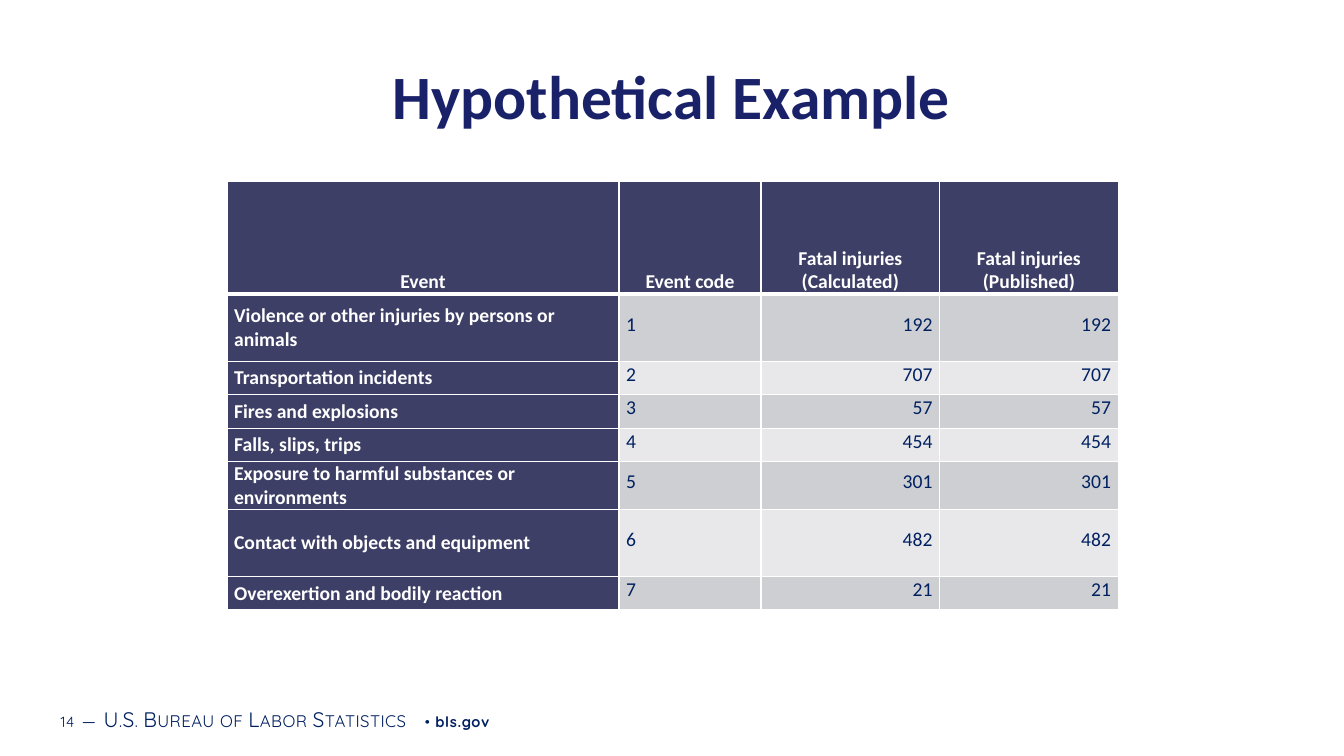
"""Build the slide comparing calculated and published fatal injuries by event."""
from dataclasses import dataclass

from lxml.etree import SubElement
from pptx import Presentation
from pptx.dml.color import RGBColor as Rgb
from pptx.enum.text import MSO_ANCHOR as Anchor, PP_ALIGN as Align
from pptx.oxml.ns import qn
from pptx.util import Cm, Pt

TITLE = "Hypothetical Example"
HEADINGS = ("Event", "Event code", "Fatal injuries\n(Calculated)", "Fatal injuries\n(Published)")
EVENTS = [
    ("Violence or other injuries by persons or animals", 1, 192, 192),
    ("Transportation incidents", 2, 707, 707),
    ("Fires and explosions", 3, 57, 57),
    ("Falls, slips, trips", 4, 454, 454),
    ("Exposure to harmful substances or environments", 5, 301, 301),
    ("Contact with objects and equipment", 6, 482, 482),
    ("Overexertion and bodily reaction", 7, 21, 21),
]
COLUMN_WIDTHS = (9.88, 3.58, 4.5, 4.5)
COLUMN_ALIGNS = (Align.LEFT, Align.LEFT, Align.RIGHT, Align.RIGHT)
HEADING_HEIGHT, TALL, SHORT = 2.84, 1.7, 0.84
TALL_EVENT_CODES = (1, 6)
FOOTER = [
    ("14", 10.5, 50, False, False),
    (" ", 16, 50, False, False),
    ("—", 15, 30, True, False),
    (" ", 16, 50, False, False),
    ("U.S. Bureau of Labor Statistics", 15, 30, True, False),
    (" • ", 10.5, 50, False, False),
    ("bls.gov", 10.5, 50, False, True),
]


@dataclass(frozen=True)
class Theme:
    title: Rgb = Rgb.from_string("192168")
    ink: Rgb = Rgb.from_string("002060")
    white: Rgb = Rgb.from_string("FFFFFF")
    heading_fill: Rgb = Rgb.from_string("3E3F67")
    bands: tuple = (Rgb.from_string("CECFD3"), Rgb.from_string("E8E8EB"))
    body_face: str = "Calibri"
    footer_face: str = "Quicksand"
    title_size: float = 44
    table_size: float = 14
    line_spacing: float = 12
    border: float = 1
    heading_border: float = 3


THEME = Theme()


def set_font(font, face, size, color, bold):
    font.name, font.size, font.bold = face, Pt(size), bold
    font.color.rgb = color


def set_borders(cell, top, bottom):
    properties = cell._tc.get_or_add_tcPr()
    widths = {"lnL": THEME.border, "lnR": THEME.border, "lnT": top, "lnB": bottom}
    for side, width in widths.items():
        line = SubElement(properties, qn(f"a:{side}"), w=str(Pt(width)))
        SubElement(SubElement(line, qn("a:solidFill")), qn("a:srgbClr"), val=str(THEME.white))


def fill_cell(cell, text, row, column):
    is_heading = row == 0
    is_dark = is_heading or column == 0
    set_borders(cell, THEME.heading_border if row == 1 else THEME.border,
                THEME.heading_border if is_heading else THEME.border)
    cell.fill.solid()
    cell.fill.fore_color.rgb = THEME.heading_fill if is_dark else THEME.bands[(row - 1) % 2]
    cell.margin_left = cell.margin_right = Cm(0.18)
    cell.margin_top = cell.margin_bottom = 0
    cell.vertical_anchor = Anchor.BOTTOM if is_heading else Anchor.MIDDLE
    cell.text_frame.text = str(text)
    has_fixed_lines = column < 2 if is_heading else column > 0
    for paragraph in cell.text_frame.paragraphs:
        paragraph.alignment = Align.CENTER if is_heading else COLUMN_ALIGNS[column]
        if has_fixed_lines:
            paragraph.line_spacing = Pt(THEME.line_spacing)
        set_font(paragraph.font, THEME.body_face, THEME.table_size,
                 THEME.white if is_dark else THEME.ink, is_dark)


def add_title(slide):
    title = slide.shapes.title
    title.left, title.top, title.width, title.height = Cm(1.37), Cm(1.27), Cm(31.12), Cm(2.24)
    title.text_frame.text = TITLE
    title.text_frame.vertical_anchor = Anchor.MIDDLE
    heading = title.text_frame.paragraphs[0]
    heading.alignment = Align.CENTER
    set_font(heading.font, THEME.body_face, THEME.title_size, THEME.title, True)


def add_events(slide):
    rows = [HEADINGS, *EVENTS]
    heights = [HEADING_HEIGHT] + [TALL if event[1] in TALL_EVENT_CODES else SHORT for event in EVENTS]
    events = slide.shapes.add_table(len(rows), len(HEADINGS), Cm(5.72), Cm(4.57),
                                    Cm(sum(COLUMN_WIDTHS)), Cm(sum(heights))).table
    events.first_col = True
    for column, width in zip(events.columns, COLUMN_WIDTHS):
        column.width = Cm(width)
    for row, (values, height) in enumerate(zip(rows, heights)):
        events.rows[row].height = Cm(height)
        for column, value in enumerate(values):
            fill_cell(events.cell(row, column), value, row, column)


def add_footer(slide):
    footer = slide.shapes.add_textbox(Cm(1.35), Cm(17.6), Cm(21.51), Cm(1.02)).text_frame
    footer.word_wrap = True
    footer.vertical_anchor = Anchor.MIDDLE
    footer.margin_left = footer.margin_right = Cm(0.18)
    footer.margin_top = footer.margin_bottom = Cm(0.1)
    for text, size, spacing, small_caps, bold in FOOTER:
        run = footer.paragraphs[0].add_run()
        run.text = text
        set_font(run.font, THEME.footer_face, size, THEME.ink, bold)
        properties = run._r.get_or_add_rPr()
        properties.set("spc", str(spacing))
        if small_caps:
            properties.set("cap", "small")


def main():
    deck = Presentation()
    deck.slide_width, deck.slide_height = Cm(33.87), Cm(19.05)
    slide = deck.slides.add_slide(deck.slide_layouts[5])
    add_title(slide)
    add_events(slide)
    add_footer(slide)
    deck.save("out.pptx")


if __name__ == "__main__":
    main()
